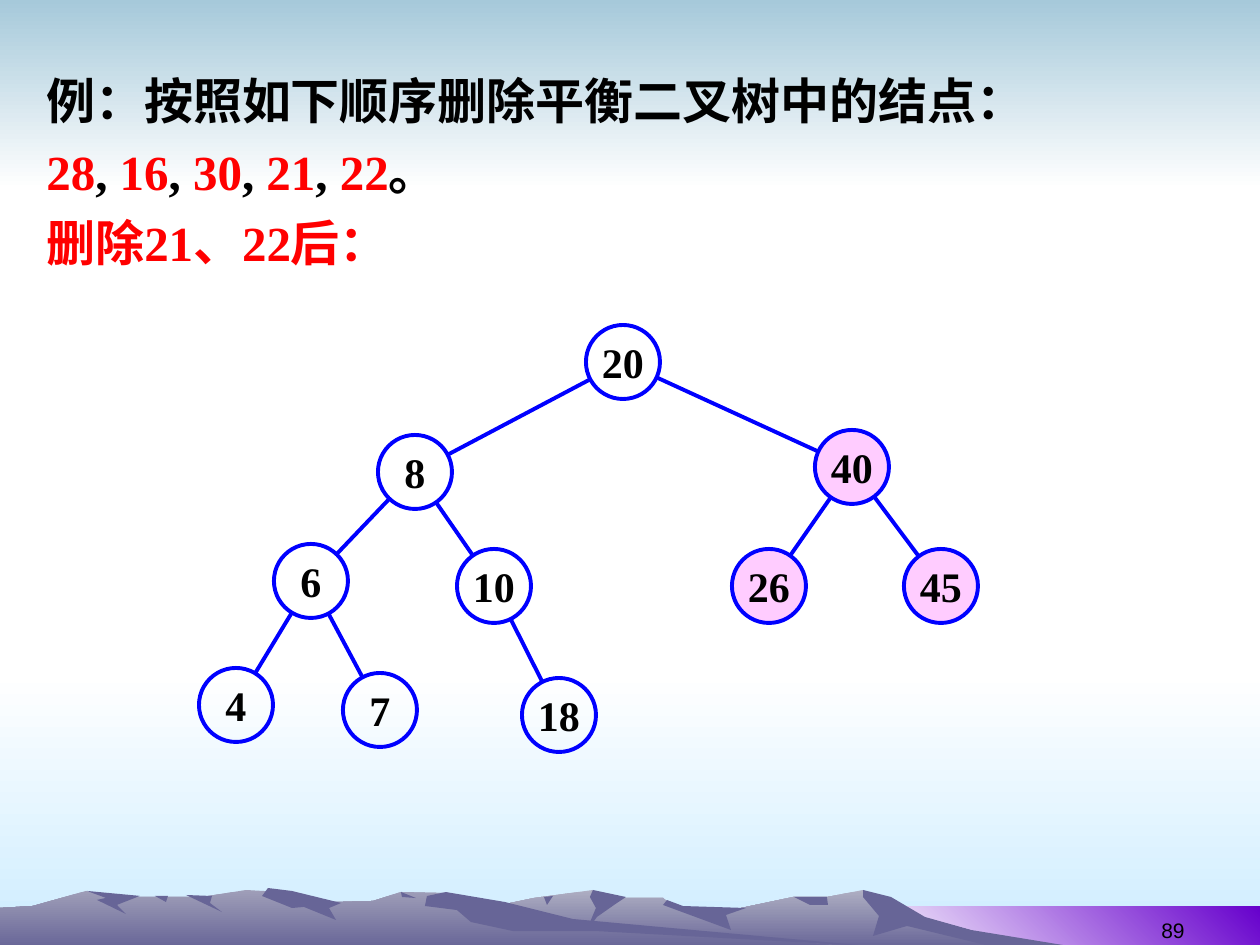
"""Build the slide on deleting nodes from a balanced binary tree."""
from math import dist
from lxml.etree import SubElement
from pptx import Presentation
from pptx.dml.color import RGBColor as RGB
from pptx.enum.shapes import MSO_CONNECTOR, MSO_SHAPE
from pptx.enum.text import MSO_ANCHOR as ANCHOR, PP_ALIGN as ALIGN
from pptx.oxml.ns import qn
from pptx.util import Pt

PX = 914400 / 126
SLIDE = (1260, 945)
NODE = 74
HANG = 48

COLORS = {
    "white": "FFFFFF", "black": "000000", "red": "FF0000", "blue": "0000FF",
    "pink": "FFCCFF", "sky": "A6C9DA", "ice": "CCECFF", "purple": "6600CC",
    "slope": "676597", "far": "AEAEC2", "near": "9F9EB8",
}

HEADING = [
    [("例：按照如下顺序删除平衡二叉树中的结点：", "black")],
    [("28", "red"), (", ", "black"), ("16", "red"), (", ", "black"),
     ("30", "red"), (", ", "black"), ("21", "red"), (", ", "black"),
     ("22", "red"), ("。", "black")],
    [("删除21、22后：", "red")],
]
HEADING_BOX = (34, 53, 1226, 183)
PAGE = [[("89", "black")]]
PAGE_BOX = (903, 886, 294, 63)

HEADING_FONT = {"name": "Times New Roman", "size": Pt(28), "bold": True}
NODE_FONT = {"name": "Times New Roman", "size": Pt(24), "bold": True}
PAGE_FONT = {"name": "Arial", "size": Pt(12), "bold": False}

NODES = {
    "20": (586, 325), "8": (378, 435), "40": (815, 430), "6": (274, 544),
    "10": (457, 549), "26": (732, 549), "45": (904, 549), "18": (522, 678),
    "4": (199, 668), "7": (343, 673),
}
CHILDREN = {
    "20": ("8", "40"), "8": ("6", "10"), "40": ("26", "45"),
    "6": ("4", "7"), "10": ("18",),
}
PINK_NODES = ("40", "26", "45")

BANDS = [
    (0, 672, 1260, 945, ("white", "ice", 270)),
    (0, 0, 1260, 189, ("sky", "white", 270)),
    (861, 906, 1260, 948, ("white", "purple", 45)),
]
FAR_RIDGE = ("far", "slope", 270)
NEAR_RIDGE = ("near", "slope", 270)
SHADE = ("slope",)
RIDGES = [
    (FAR_RIDGE, [
        (1034, 948), (911, 914), (863, 890), (827, 897), (793, 897),
        (713, 914), (675, 908), (663, 898), (612, 898), (593, 890),
        (534, 898), (496, 906), (412, 921), (325, 948)]),
    (SHADE, [
        (1081, 948), (971, 930), (925, 917), (891, 897), (863, 890),
        (863, 897), (879, 916), (873, 936), (907, 926), (998, 948)]),
    (SHADE, [
        (593, 890), (590, 897), (596, 908), (586, 932), (597, 917),
        (617, 903), (626, 897)]),
    (SHADE, [
        (667, 900), (663, 905), (731, 930), (726, 915), (746, 908),
        (683, 906)]),
    (SHADE, [(794, 897), (810, 905), (828, 905), (827, 897)]),
    (SHADE, [(544, 897), (553, 896), (547, 905)]),
    (NEAR_RIDGE, [
        (869, 948), (544, 922), (446, 893), (401, 892), (373, 901),
        (297, 903), (281, 892), (246, 890), (202, 897), (118, 897),
        (86, 891), (33, 906), (0, 908), (0, 948)]),
    (SHADE, [
        (268, 888), (262, 896), (292, 908), (304, 907), (336, 920),
        (329, 908), (341, 903), (292, 891)]),
    (SHADE, [
        (446, 892), (427, 896), (425, 906), (457, 910), (471, 922),
        (513, 931), (595, 931), (869, 946), (573, 919), (505, 902)]),
    (SHADE, [(401, 892), (416, 898), (402, 897)]),
    (SHADE, [(186, 895), (212, 896), (210, 903), (222, 912)]),
    (SHADE, [(155, 896), (168, 896), (166, 902)]),
    (SHADE, [
        (87, 891), (140, 896), (117, 905), (126, 914), (97, 900),
        (106, 898)]),
]


def emu(*lengths):
    return [round(v * PX) for v in lengths]


def rgb(name):
    return RGB.from_string(COLORS[name])


def paint(fill, names):
    if len(names) == 1:
        fill.solid()
        fill.fore_color.rgb = rgb(names[0])
        return
    *ends, angle = names
    fill.gradient()
    fill.gradient_angle = angle
    for stop, name in zip(fill.gradient_stops, ends):
        stop.color.rgb = rgb(name)


def outline(shapes, points, names):
    builder = shapes.build_freeform(*points[0], scale=PX)
    builder.add_line_segments(points[1:], close=True)
    sp = builder.convert_to_shape()
    sp.shadow.inherit = False
    sp.line.fill.background()
    paint(sp.fill, names)


def write(tf, lines, font, align, anchor, wrap=True, spacing=None, hang=0):
    tf.word_wrap, tf.vertical_anchor = wrap, anchor
    for i, runs in enumerate(lines):
        p = tf.add_paragraph() if i else tf.paragraphs[0]
        p.alignment, p.line_spacing = align, spacing
        if hang:
            indent = emu(hang)[0]
            pPr = p._p.get_or_add_pPr()
            pPr.set("marL", str(indent))
            pPr.set("indent", str(-indent))
        for text, color in runs:
            r = p.add_run()
            r.text = text
            for key, value in font.items():
                setattr(r.font, key, value)
            r.font.color.rgb = rgb(color)


def stroke(line):
    line.color.rgb = rgb("blue")
    line.width = Pt(2.25)


def add_node(shapes, label):
    sp = shapes.add_shape(MSO_SHAPE.OVAL, *emu(*NODES[label], NODE, NODE))
    sp.shadow.inherit = False
    if label in PINK_NODES:
        paint(sp.fill, ("pink",))
    else:
        sp.fill.background()
    stroke(sp.line)
    write(sp.text_frame, [[(label, "black")]], NODE_FONT, ALIGN.CENTER,
          ANCHOR.MIDDLE, wrap=False)


def add_edge(shapes, parent, child):
    (x1, y1), (x2, y2) = NODES[parent], NODES[child]
    radius = NODE / 2
    trim = radius / dist((x1, y1), (x2, y2))
    dx, dy = (x2 - x1) * trim, (y2 - y1) * trim
    ends = (x1 + radius + dx, y1 + radius + dy,
            x2 + radius - dx, y2 + radius - dy)
    line = shapes.add_connector(MSO_CONNECTOR.STRAIGHT, *emu(*ends))
    stroke(line.line)
    SubElement(line._element.spPr, qn("a:effectLst"))


def main():
    prs = Presentation()
    prs.slide_width, prs.slide_height = emu(*SLIDE)
    s = prs.slides.add_slide(prs.slide_layouts[6])
    for x1, y1, x2, y2, names in BANDS:
        outline(s.shapes, [(x1, y1), (x2, y1), (x2, y2), (x1, y2)], names)
    for names, points in RIDGES:
        outline(s.shapes, points, names)
    page = s.shapes.add_textbox(*emu(*PAGE_BOX))
    write(page.text_frame, PAGE, PAGE_FONT, ALIGN.RIGHT, ANCHOR.BOTTOM)
    for label in NODES:
        add_node(s.shapes, label)
    for parent, children in CHILDREN.items():
        for child in children:
            add_edge(s.shapes, parent, child)
    heading = s.shapes.add_textbox(*emu(*HEADING_BOX))
    write(heading.text_frame, HEADING, HEADING_FONT, ALIGN.LEFT, ANCHOR.TOP,
          spacing=1.2, hang=HANG)
    prs.save("out.pptx")


if __name__ == "__main__":
    main()
